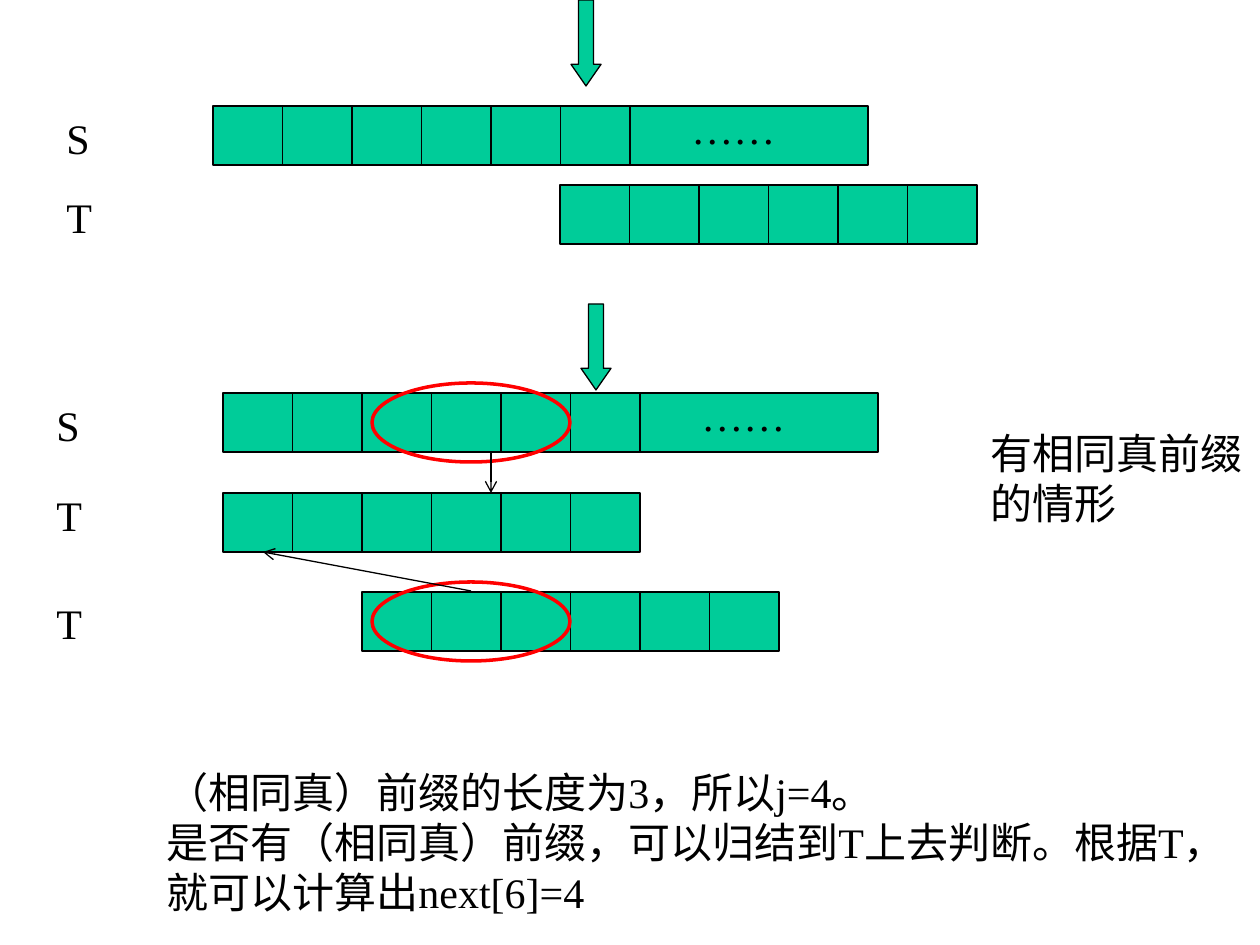
from lxml.etree import SubElement
from pptx import Presentation
from pptx.dml.color import RGBColor
from pptx.enum.shapes import MSO_CONNECTOR, MSO_SHAPE
from pptx.enum.text import PP_ALIGN
from pptx.oxml.ns import qn
from pptx.util import Pt

EMU_PER_PX = 914400 / 126
GREEN, BLACK, RED = "00CC99", "000000", "FF0000"
PATTERN_WIDTH = 417
CELLS = 6
CELL = PATTERN_WIDTH / CELLS
SOURCE_WIDTH = 655
ROW_HEIGHT = 59


def px(*lengths):
    return [round(length * EMU_PER_PX) for length in lengths]


def color(hex_code):
    return RGBColor.from_string(hex_code)


def add_text(slide, box, *paragraphs):
    frame = slide.shapes.add_textbox(*px(*box)).text_frame
    frame.word_wrap = True
    for index, text in enumerate(paragraphs):
        paragraph = frame.paragraphs[0] if index == 0 else frame.add_paragraph()
        paragraph.alignment = PP_ALIGN.LEFT
        run = paragraph.add_run()
        run.text = text
        run.font.name = "Times New Roman"
        run.font.size = Pt(24)
        run.font.color.rgb = color(BLACK)


def add_outline(slide, preset, box, fill=GREEN, line=BLACK, weight=0.75):
    shape = slide.shapes.add_shape(preset, *px(*box))
    shape.shadow.inherit = False
    if fill:
        shape.fill.solid()
        shape.fill.fore_color.rgb = color(fill)
    else:
        shape.fill.background()
    shape.line.color.rgb = color(line)
    shape.line.width = Pt(weight)
    return shape


def add_line(slide, start, end, arrow=False):
    line = slide.shapes.add_connector(MSO_CONNECTOR.STRAIGHT, *px(*start, *end))
    line.line.color.rgb = color(BLACK)
    line.line.width = Pt(0.75)
    if arrow:
        SubElement(line.line._get_or_add_ln(), qn("a:tailEnd"), type="arrow")
    SubElement(line._element.spPr, qn("a:effectLst"))


def draw_row(slide, left, top, width, dividers):
    """A strip of equal cells; anything past the last divider is one wide cell."""
    add_outline(slide, MSO_SHAPE.RECTANGLE, (left, top, width, ROW_HEIGHT))
    for index in range(1, dividers + 1):
        x = left + index * CELL
        add_line(slide, (x, top), (x, top + ROW_HEIGHT))


def draw_source(slide, left, top):
    draw_row(slide, left, top, SOURCE_WIDTH, CELLS)
    add_text(slide, (left + 466, top - 10, 169, 63), "……")


def draw_pattern(slide, left, top):
    draw_row(slide, left, top, PATTERN_WIDTH, CELLS - 1)


def draw_pointer(slide, left, top):
    pointer = add_outline(slide, MSO_SHAPE.DOWN_ARROW, (left, top, 30, 86))
    pointer.adjustments[0] = 0.5
    pointer.adjustments[1] = 0.72


def draw_label(slide, left, top, letter):
    add_text(slide, (left, top, 99, 63), letter)


def draw_prefix_ring(slide, left, top):
    add_outline(slide, MSO_SHAPE.OVAL, (left, top, 198, 79),
                fill=None, line=RED, weight=2)


def draw_no_prefix_case(slide, left, top):
    draw_source(slide, left + 159, top + 106)
    draw_pattern(slide, left + 506, top + 185)
    draw_pointer(slide, left + 517, top)
    draw_label(slide, left, top + 106, "S")
    draw_label(slide, left, top + 185, "T")


def draw_shared_prefix_case(slide, left, top):
    row_left = left + 179
    source_top, pattern_top, shifted_top = top + 89, top + 189, top + 288
    draw_source(slide, row_left, source_top)
    draw_pattern(slide, row_left, pattern_top)
    draw_pattern(slide, row_left + 2 * CELL, shifted_top)
    draw_pointer(slide, left + 537, top)

    draw_label(slide, left, source_top, "S")
    draw_label(slide, left, pattern_top - 10, "T")
    draw_label(slide, left, shifted_top - 1, "T")

    for row_top in (source_top, shifted_top):
        draw_prefix_ring(slide, left + 328, row_top - 10)
    add_line(slide, (left + 427, shifted_top - 1),
             (left + 219, pattern_top + ROW_HEIGHT), arrow=True)
    add_line(slide, (left + 447, source_top + ROW_HEIGHT),
             (left + 447, pattern_top), arrow=True)


def main():
    presentation = Presentation()
    presentation.slide_width, presentation.slide_height = px(1260, 945)
    slide = presentation.slides.add_slide(presentation.slide_layouts[6])

    draw_no_prefix_case(slide, 54, 0)
    draw_shared_prefix_case(slide, 44, 304)
    add_text(slide, (978, 421, 282, 113), "有相同真前缀的情形")
    add_text(slide, (154, 760, 1091, 164),
             "（相同真）前缀的长度为3，所以j=4。",
             "是否有（相同真）前缀，可以归结到T上去判断。根据T，就可以计算出next[6]=4")

    presentation.save("out.pptx")


if __name__ == "__main__":
    main()
